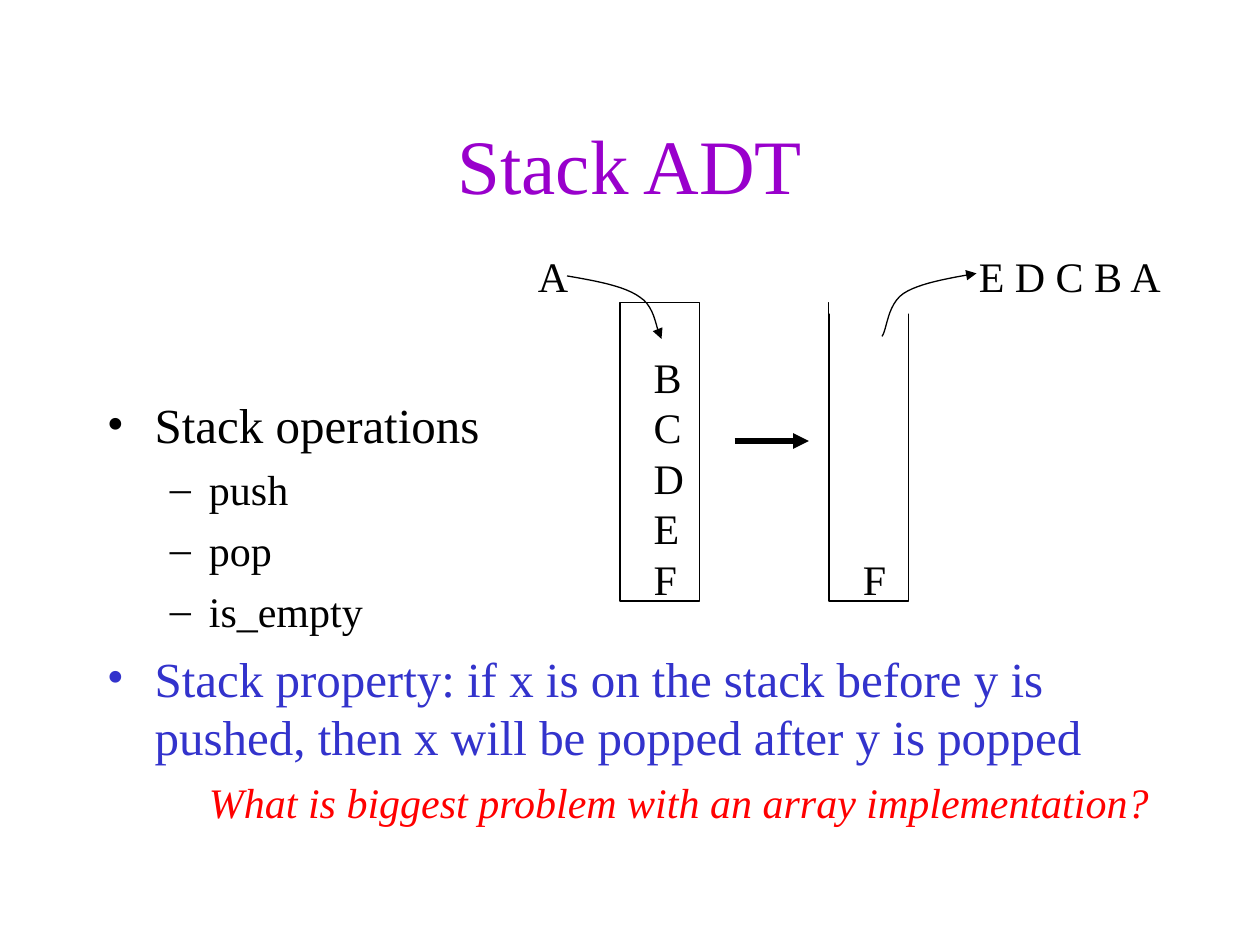
import pptx
import pptx.util
import pptx.dml.color
import pptx.enum.shapes
import pptx.enum.text
from lxml import etree
from pptx.oxml.ns import qn

Inches = pptx.util.Inches
Pt = pptx.util.Pt
RGBColor = pptx.dml.color.RGBColor
Align = pptx.enum.text.PP_ALIGN
Anchor = pptx.enum.text.MSO_ANCHOR

BLACK = RGBColor(0x00, 0x00, 0x00)
WHITE = RGBColor(0xFF, 0xFF, 0xFF)
PURPLE = RGBColor(0x99, 0x00, 0xCC)
BLUE = RGBColor(0x33, 0x33, 0xCC)
RED = RGBColor(0xFF, 0x00, 0x00)


class Deck:
    font = "Times New Roman"
    size = 24

    def __init__(self, slide):
        self.slide = slide
        self.shapes = slide.shapes

    def frame(self, left, top, width, height, wrap=False):
        box = self.shapes.add_textbox(
            Inches(left), Inches(top), Inches(width), Inches(height))
        box.text_frame.word_wrap = wrap
        return box.text_frame

    def run(self, para, text, size=None, color=BLACK, italic=False):
        run = para.add_run()
        run.text = text
        run.font.name = self.font
        run.font.size = Pt(size or self.size)
        run.font.color.rgb = color
        run.font.italic = italic

    def label(self, left, top, width, height, lines):
        frame = self.frame(left, top, width, height)
        for i, line in enumerate(lines):
            para = frame.add_paragraph() if i else frame.paragraphs[0]
            self.run(para, line)

    def indent(self, para, margin, hang, mark, color):
        props = para._p.get_or_add_pPr()
        props.set("marL", str(Inches(margin)))
        props.set("indent", str(-Inches(hang) if mark else 0))
        if mark:
            tint = etree.SubElement(props, qn("a:buClr"))
            etree.SubElement(tint, qn("a:srgbClr"), val=str(color))
            etree.SubElement(props, qn("a:buFont"), typeface=self.font)
            etree.SubElement(props, qn("a:buChar"), char=mark)
        else:
            etree.SubElement(props, qn("a:buNone"))

    def rect(self, left, top, width, height, fill=None):
        rect = self.shapes.add_shape(
            pptx.enum.shapes.MSO_SHAPE.RECTANGLE,
            Inches(left), Inches(top), Inches(width), Inches(height))
        rect.shadow.inherit = False
        if fill is None:
            rect.fill.background()
            self.line(rect, 0.75)
        else:
            rect.fill.solid()
            rect.fill.fore_color.rgb = fill
            rect.line.fill.background()

    def line(self, shape, width, tip=None):
        shape.line.color.rgb = BLACK
        shape.line.width = Pt(width)
        if tip:
            etree.SubElement(shape.line._get_or_add_ln(), qn(tip), type="triangle")

    def curve(self, start, parts, tip, steps=12):
        """Trace joined cubic Bezier parts, each given as three points."""
        points = []
        first = start
        for part in parts:
            nodes = (first, *part)
            for i in range(1, steps + 1):
                t = i / steps
                u = 1 - t
                mix = (u ** 3, 3 * u * u * t, 3 * u * t * t, t ** 3)
                points.append(tuple(
                    Inches(sum(m * n[axis] for m, n in zip(mix, nodes)))
                    for axis in (0, 1)))
            first = part[-1]
        path = self.shapes.build_freeform(Inches(start[0]), Inches(start[1]))
        path.add_line_segments(points, close=False)
        shape = path.convert_to_shape()
        shape.shadow.inherit = False
        shape.fill.background()
        self.line(shape, 0.75, tip)

    def arrow(self, left, right, top):
        arrow = self.shapes.add_connector(
            pptx.enum.shapes.MSO_CONNECTOR.STRAIGHT,
            Inches(left), Inches(top), Inches(right), Inches(top))
        self.line(arrow, 3, "a:tailEnd")
        etree.SubElement(arrow._element.spPr, qn("a:effectLst"))


def main():
    show = pptx.Presentation()
    show.slide_width, show.slide_height = Inches(10), Inches(7.5)
    deck = Deck(show.slides.add_slide(show.slide_layouts[6]))

    # Title
    frame = deck.frame(0.75, 0.67, 8.5, 1.25, wrap=True)
    frame.vertical_anchor = Anchor.MIDDLE
    frame.paragraphs[0].alignment = Align.CENTER
    deck.run(frame.paragraphs[0], "Stack ADT", 44, PURPLE)

    # Bullets: level, mark, text, colour
    items = [
        (0, "•", "Stack operations", BLACK),
        (1, "–", "push", BLACK),
        (1, "–", "pop", BLACK),
        (1, "–", "is_empty", BLACK),
        (0, "•", "Stack property: if x is on the stack before y is pushed, "
                 "then x will be popped after y is popped", BLUE),
        (1, None, "What is biggest problem with an array implementation?", RED),
    ]
    levels = [(0.38, 0.38, 28, 7), (0.81, 0.31, 24, 6)]
    frame = deck.frame(0.75, 3.08, 8.5, 3.83, wrap=True)
    for i, (level, mark, text, color) in enumerate(items):
        margin, hang, size, gap = levels[level]
        para = frame.add_paragraph() if i else frame.paragraphs[0]
        deck.indent(para, margin, hang, mark, color)
        para.level = level
        if i:
            para.space_before = Pt(gap)
        deck.run(para, text, size, color, italic=color == RED)

    # Full stack, with A pushed on
    deck.rect(4.92, 2.4, 0.63, 2.37)
    deck.label(4.17, 1.94, 0.44, 0.5, ["A"])
    deck.label(5.09, 2.74, 0.44, 2.1, "BCDEF")
    deck.curve((4.5, 2.19), [
        ((4.73, 2.23), (4.96, 2.27), (5.08, 2.36)),
        ((5.21, 2.44), (5.21, 2.65), (5.25, 2.69)),
    ], "a:tailEnd")

    # Open stack, after the pops
    deck.rect(6.58, 2.4, 0.63, 2.37)
    deck.rect(6.58, 2.36, 0.67, 0.13, WHITE)
    deck.label(7.67, 1.94, 1.66, 0.5, ["E D C B A"])
    deck.label(6.75, 4.34, 0.38, 0.5, "F")
    deck.curve((7.75, 2.17), [
        ((7.52, 2.21), (7.29, 2.25), (7.17, 2.33)),
        ((7.04, 2.42), (7.04, 2.62), (7, 2.67)),
    ], "a:headEnd")

    # Step from one state to the next
    deck.arrow(5.83, 6.42, 3.5)

    show.save("out.pptx")


if __name__ == "__main__":
    main()
